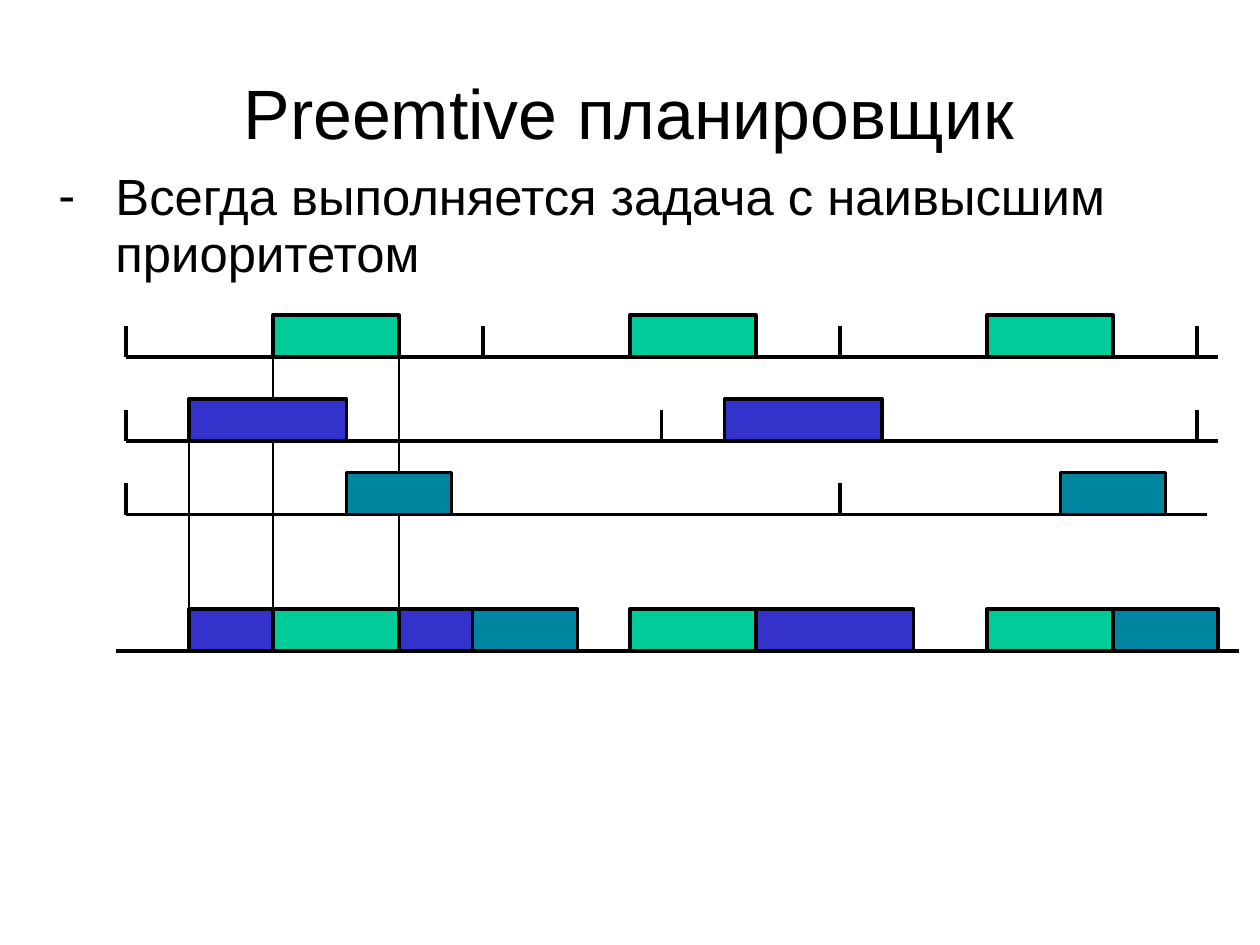
from lxml import etree
from pptx import Presentation
from pptx import util as u
from pptx.dml.color import RGBColor
from pptx.enum import shapes, text
from pptx.oxml.ns import qn

Pt = u.Pt
UNIT = 6.614
BLOCK_H, TICK_H = 4, 3
CPU_ROW = 28
GREEN, BLUE, TEAL = "00CC99", "3333CC", "0085A0"
BLACK = "000000"

TASKS = [
    dict(row=0, period=34, start=14, length=12, runs=3, ticks=4, end=104, color=GREEN),
    dict(row=8, period=51, start=6, length=15, runs=2, ticks=3, end=104, color=BLUE),
    dict(row=15, period=68, start=21, length=10, runs=2, ticks=2, end=103, color=TEAL),
]
CPU_BLOCKS = [
    (6, 8, BLUE), (14, 12, GREEN), (26, 7, BLUE), (33, 10, TEAL),
    (48, 12, GREEN), (60, 15, BLUE), (82, 12, GREEN), (94, 10, TEAL),
]
GUIDES = [(6, 8), (14, 0), (26, 0)]


def rgb(value):
    return RGBColor.from_string(value)


def add_text(sp, box, content, size, anchor, align, inset_top=0):
    sp.left, sp.top, sp.width, sp.height = [Pt(v) for v in box]
    tf = sp.text_frame
    tf.word_wrap = True
    tf.auto_size = text.MSO_AUTO_SIZE.NONE
    tf.vertical_anchor = anchor
    tf.margin_left = tf.margin_right = tf.margin_bottom = 0
    tf.margin_top = Pt(inset_top)
    p = tf.paragraphs[0]
    p.alignment = align
    p.line_spacing = 0.93
    p.space_before = Pt(0)
    r = p.add_run()
    r.text = content
    r.font.size = Pt(size)
    r.font.name = "Arial"
    r.font.color.rgb = rgb(BLACK)
    return p


def add_title(slide, box):
    add_text(slide.shapes.title, box, "Preemtive планировщик", 44,
             text.MSO_ANCHOR.MIDDLE, text.PP_ALIGN.CENTER)


def add_rule(slide, box):
    p = add_text(slide.placeholders[1], box,
                 "Всегда выполняется задача с наивысшим приоритетом", 32,
                 text.MSO_ANCHOR.TOP, text.PP_ALIGN.LEFT, 2)
    p.space_after = Pt(14.3)
    pPr = p._p.get_or_add_pPr()
    pPr.set("marL", str(Pt(36)))
    pPr.set("indent", str(-Pt(36)))
    clr = etree.SubElement(pPr, qn("a:buClr"))
    etree.SubElement(clr, qn("a:srgbClr"), val=BLACK)
    etree.SubElement(pPr, qn("a:buFont"), typeface="Arial")
    etree.SubElement(pPr, qn("a:buChar"), char="-")


def add_timeline(slide, left, top):
    def point(x, y):
        return Pt(left + x * UNIT), Pt(top + (BLOCK_H + y) * UNIT)

    def line(x1, y1, x2, y2, width=2.25):
        cx = slide.shapes.add_connector(
            shapes.MSO_CONNECTOR.STRAIGHT, *point(x1, y1), *point(x2, y2))
        cx.line.color.rgb = rgb(BLACK)
        cx.line.width = Pt(width)
        etree.SubElement(cx._element.spPr, qn("a:effectLst"))

    def block(x, row, length, color):
        sp = slide.shapes.add_shape(
            shapes.MSO_SHAPE.RECTANGLE, *point(x, row - BLOCK_H),
            Pt(length * UNIT), Pt(BLOCK_H * UNIT))
        sp.shadow.inherit = False
        sp.fill.solid()
        sp.fill.fore_color.rgb = rgb(color)
        sp.line.color.rgb = rgb(BLACK)
        sp.line.width = Pt(2.25)

    for x, row in GUIDES:
        line(x, row, x, CPU_ROW - BLOCK_H, 1)

    for task in TASKS:
        row, period = task["row"], task["period"]
        line(0, row, task["end"], row)
        for i in range(task["ticks"]):
            line(i * period, row - TICK_H, i * period, row)
        for i in range(task["runs"]):
            block(i * period + task["start"], row, task["length"], task["color"])

    line(-1, CPU_ROW, 106, CPU_ROW)
    for x, length, color in CPU_BLOCKS:
        block(x, CPU_ROW, length, color)


def main():
    prs = Presentation()
    prs.slide_width, prs.slide_height = Pt(793.7), Pt(595.3)
    slide = prs.slides.add_slide(prs.slide_layouts[1])
    add_title(slide, (39.6, 23.8, 713.5, 98.6))
    add_rule(slide, (36.7, 105.1, 697.7, 436.3))
    add_timeline(slide, 79.4, 198.5)
    prs.save("out.pptx")


if __name__ == "__main__":
    main()
